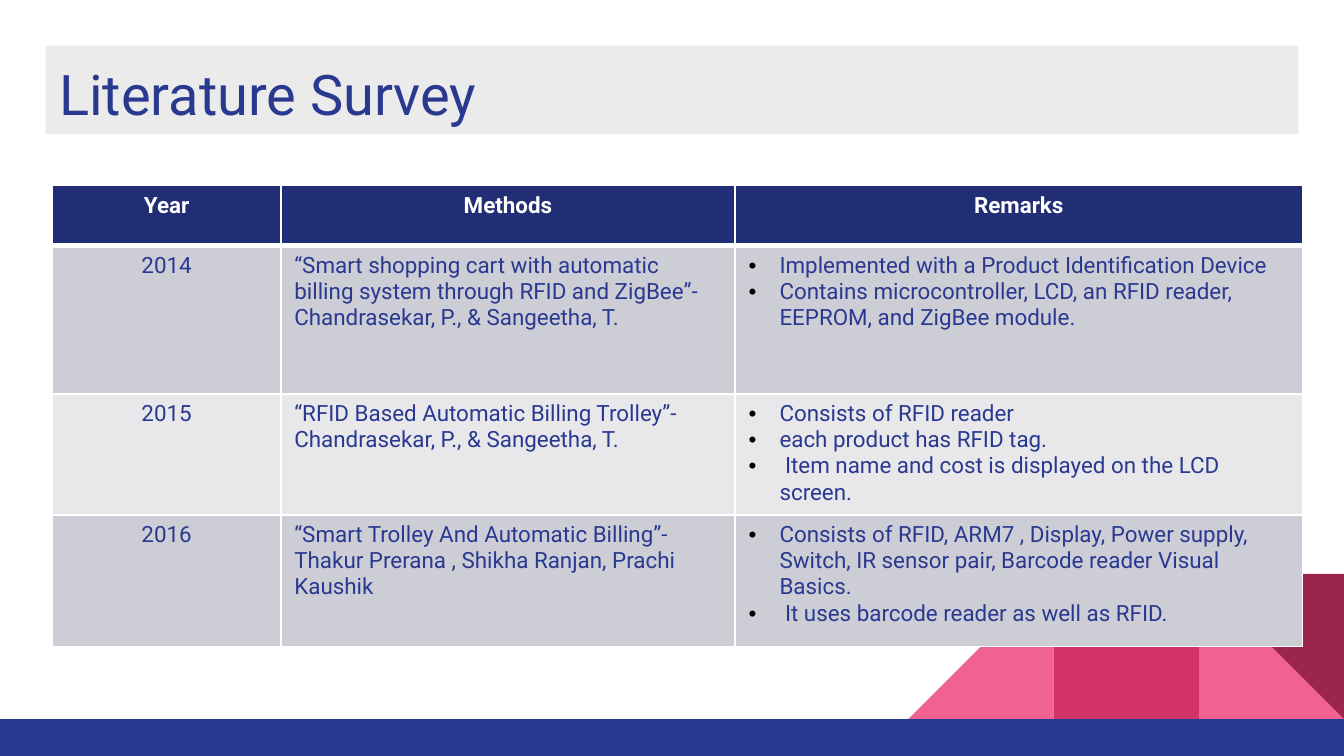
from lxml import etree
from pptx import Presentation
from pptx.dml.color import RGBColor
from pptx.enum.shapes import MSO_SHAPE
from pptx.enum.text import MSO_ANCHOR, MSO_AUTO_SIZE, PP_ALIGN
from pptx.oxml.ns import qn
from pptx.util import Inches, Pt

RECTANGLE, TRIANGLE = MSO_SHAPE.RECTANGLE, MSO_SHAPE.RIGHT_TRIANGLE
TOP, NO_FIT = MSO_ANCHOR.TOP, MSO_AUTO_SIZE.NONE
LEFT, CENTER = PP_ALIGN.LEFT, PP_ALIGN.CENTER

WHITE = RGBColor(0xFF, 0xFF, 0xFF)
BLACK = RGBColor(0, 0, 0)
BLUE = RGBColor(0x2A, 0x39, 0x90)
NAVY = RGBColor(0x21, 0x2D, 0x74)
TITLE_GRAY = RGBColor(0xEB, 0xEB, 0xEB)
BAND_DARK = RGBColor(0xCD, 0xCD, 0xD6)
BAND_LIGHT = RGBColor(0xE8, 0xE8, 0xEB)
PINK = RGBColor(0xF0, 0x62, 0x92)
MAGENTA = RGBColor(0xD2, 0x33, 0x69)
MAROON = RGBColor(0x9C, 0x25, 0x4D)
FONT = "Roboto"

COLUMN_WIDTHS = [1.7, 3.38, 4.22]
ROW_HEIGHTS = [0.45, 1.1, 0.9, 0.98]
HEADINGS = ["Year", "Methods", "Remarks"]
SURVEY = [
    ("2014",
     "“Smart shopping cart with automatic billing system through RFID and ZigBee”-"
     "Chandrasekar, P., & Sangeetha, T.",
     ["Implemented with a Product Identification Device",
      "Contains microcontroller, LCD, an RFID reader, EEPROM, and ZigBee module."]),
    ("2015",
     "“RFID Based Automatic Billing Trolley”-Chandrasekar, P., & Sangeetha, T.",
     ["Consists of RFID reader",
      "each product has RFID tag.",
      " Item name and cost is displayed on the LCD screen."]),
    ("2016",
     "“Smart Trolley And Automatic Billing”-Thakur Prerana , Shikha Ranjan, Prachi Kaushik",
     ["Consists of RFID, ARM7 , Display, Power supply, Switch, IR sensor pair, "
      "Barcode reader Visual Basics.",
      " It uses barcode reader as well as RFID."]),
]


def format_paragraph(paragraph, size, color, bold=False, align=LEFT):
    paragraph.alignment = align
    for run in paragraph.runs:
        run.font.name = FONT
        run.font.size = Pt(size)
        run.font.bold = bold
        run.font.color.rgb = color


def add_bullet(paragraph):
    properties = paragraph._p.get_or_add_pPr()
    properties.set("marL", str(Inches(0.23)))
    properties.set("indent", str(-Inches(0.23)))
    bullet_color = etree.SubElement(properties, qn("a:buClr"))
    etree.SubElement(bullet_color, qn("a:srgbClr"), val=str(BLACK))
    etree.SubElement(properties, qn("a:buFont"), typeface="Arial")
    etree.SubElement(properties, qn("a:buChar"), char="•")


def set_borders(cell, widths):
    """Draw white borders; widths are in points for left, right, top, bottom."""
    properties = cell._tc.get_or_add_tcPr()
    for index, (side, width) in enumerate(zip("LRTB", widths)):
        border = etree.Element(qn(f"a:ln{side}"), w=str(Pt(width)))
        fill = etree.SubElement(border, qn("a:solidFill"))
        etree.SubElement(fill, qn("a:srgbClr"), val=str(WHITE))
        properties.insert(index, border)


def fill_cell(cell, lines, fill, color, bold=False, align=LEFT, bulleted=False,
              borders=(1, 1, 1, 1)):
    cell.fill.solid()
    cell.fill.fore_color.rgb = fill
    set_borders(cell, borders)
    cell.text_frame.text = "\n".join(lines)
    for paragraph in cell.text_frame.paragraphs:
        format_paragraph(paragraph, 12, color, bold, align)
        if bulleted:
            add_bullet(paragraph)


def add_block(slide, kind, left, top, width, height, color):
    block = slide.shapes.add_shape(kind, Inches(left), Inches(top), Inches(width), Inches(height))
    block.shadow.inherit = False
    block.fill.solid()
    block.fill.fore_color.rgb = color
    block.line.fill.background()
    return block


def add_corner_decoration(slide, left, top, side):
    """Three squares in a row: triangle, full square, two facing triangles."""
    middle, right = left + side, left + 2 * side
    add_block(slide, TRIANGLE, right, top, side, side, PINK)
    mirrored = add_block(slide, TRIANGLE, left, top, side, side, PINK)
    mirrored._element.spPr.find(qn("a:xfrm")).set("flipH", "1")
    add_block(slide, RECTANGLE, middle, top, side, side, MAGENTA)
    add_block(slide, TRIANGLE, right, top, side, side, MAROON).rotation = 180


def add_title(slide, left, top, width, height):
    title = slide.shapes.title
    title.left, title.top = Inches(left), Inches(top)
    title.width, title.height = Inches(width), Inches(height)
    title.fill.solid()
    title.fill.fore_color.rgb = TITLE_GRAY
    frame = title.text_frame
    frame.text = "Literature Survey"
    frame.auto_size = NO_FIT
    frame.vertical_anchor = TOP
    frame.margin_left = frame.margin_right = Inches(0.1)
    frame.margin_top = frame.margin_bottom = Inches(0.1)
    format_paragraph(frame.paragraphs[0], 30, BLUE)


def add_survey_table(slide, left, top):
    table = slide.shapes.add_table(
        len(ROW_HEIGHTS), len(COLUMN_WIDTHS), Inches(left), Inches(top),
        Inches(sum(COLUMN_WIDTHS)), Inches(sum(ROW_HEIGHTS))).table
    for column, width in zip(table.columns, COLUMN_WIDTHS):
        column.width = Inches(width)
    for row, height in zip(table.rows, ROW_HEIGHTS):
        row.height = Inches(height)

    # Header row, with a thick line below
    for index, heading in enumerate(HEADINGS):
        fill_cell(table.cell(0, index), [heading], NAVY, WHITE, bold=True, align=CENTER,
                  borders=(1, 1, 1, 3))

    # Banded body rows
    for index, (year, method, remarks) in enumerate(SURVEY, start=1):
        band = BAND_DARK if index % 2 else BAND_LIGHT
        borders = (1, 1, 3 if index == 1 else 1, 1)
        fill_cell(table.cell(index, 0), [year], band, BLUE, align=CENTER, borders=borders)
        fill_cell(table.cell(index, 1), [method], band, BLUE, borders=borders)
        fill_cell(table.cell(index, 2), remarks, band, BLUE, bulleted=True, borders=borders)


def main():
    presentation = Presentation()
    # Widescreen, 16:9
    presentation.slide_width = Inches(10)
    presentation.slide_height = Inches(10) * 9 // 16
    slide = presentation.slides.add_slide(presentation.slide_layouts[5])

    # Background decoration
    add_corner_decoration(slide, 6.76, 4.27, 1.08)
    add_block(slide, RECTANGLE, 0, 5.35, 10, 0.28, BLUE)

    # Content
    add_survey_table(slide, 0.39, 1.38)
    add_title(slide, 0.34, 0.34, 9.32, 0.66)
    presentation.save("out.pptx")


if __name__ == "__main__":
    main()
